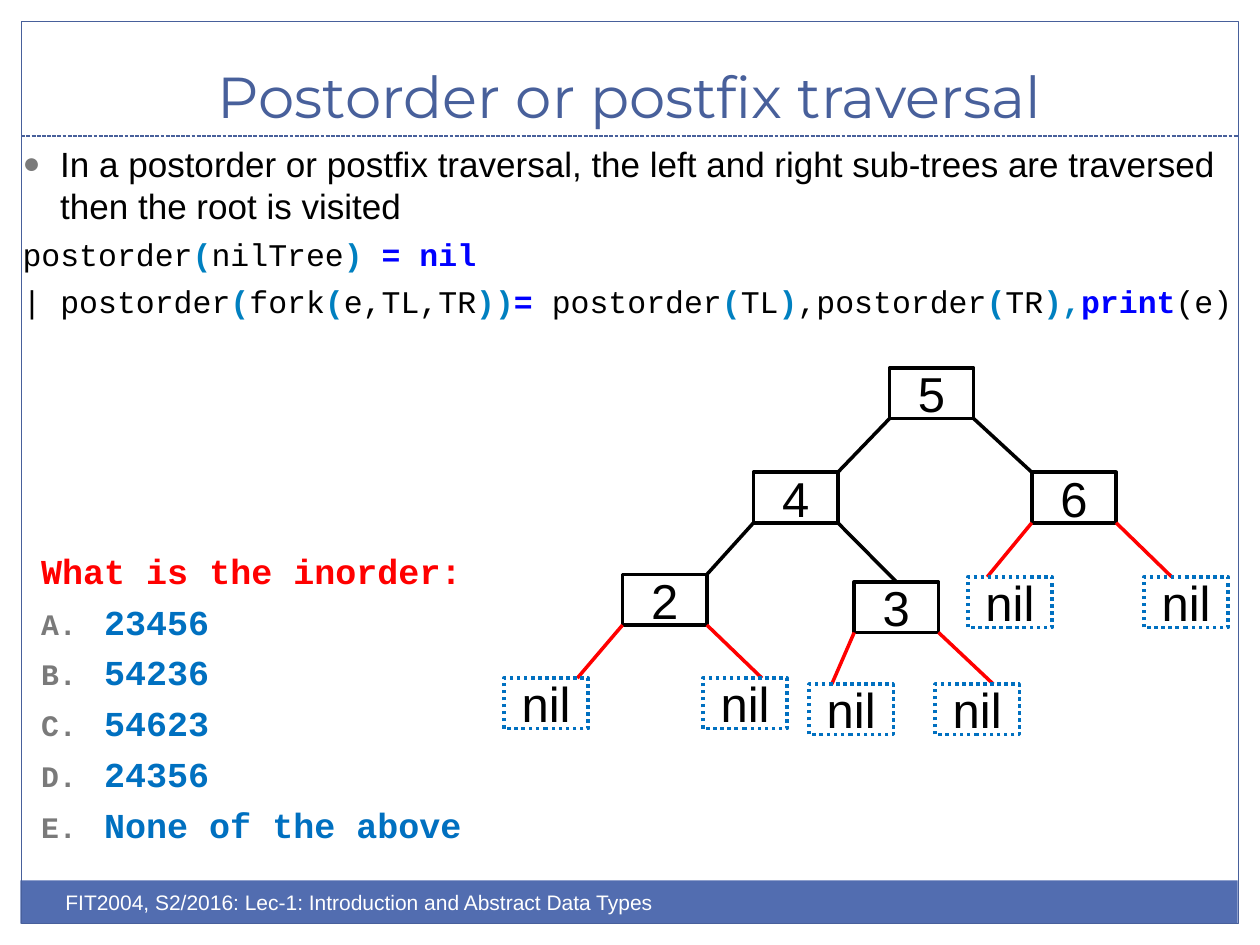
import pptx
import pptx.dml.color
import pptx.enum.dml
import pptx.enum.shapes
import pptx.enum.text
import pptx.oxml
import pptx.oxml.ns
import pptx.util
from pptx.util import Cm, Pt

THEME = {
    "colours": {"navy": "48609B", "band": "526DB0", "white": "FFFFFF", "black": "000000",
                "grey": "7A7A7A", "red": "FF0000", "sky": "0070C0", "teal": "0080C0",
                "blue": "0000FF"},
    "title": {"name": "Montserrat", "size": Pt(33), "bold": False},
    "body": {"name": "Arial", "size": Pt(20), "bold": False},
    "code": {"name": "Courier New", "size": Pt(18), "bold": False},
    "keyword": {"name": "Courier New", "size": Pt(18), "bold": True},
    "quiz": {"name": "Courier New", "size": Pt(20), "bold": True},
    "node": {"name": "Arial", "size": Pt(28), "bold": False},
    "footer": {"name": "Arial", "size": Pt(12), "bold": False},
    "gap": Pt(5),
}

TITLE = "Postorder or postfix traversal"
FOOTER = "FIT2004, S2/2016: Lec-1: Introduction and Abstract Data Types"
DEFINITION = ("In a postorder or postfix traversal, the left and right sub-trees "
              "are traversed then the root is visited")
CODE = [
    [("postorder", "black"), ("(", "teal"), ("nilTree", "black"), (")", "teal"),
     (" ", "black"), ("= nil", "blue")],
    [("| postorder", "black"), ("(", "teal"), ("fork", "black"), ("(", "teal"),
     ("e,TL,TR", "black"), ("))", "teal"), ("= ", "blue"), ("postorder", "black"),
     ("(", "teal"), ("TL", "black"), (")", "teal"), (",postorder", "black"),
     ("(", "teal"), ("TR", "black"), ("),", "teal"), ("print", "blue"), ("(e)", "black")],
]
QUESTION = "What is the inorder:"
ANSWERS = ["23456", "54236", "54623", "24356", "None of the above"]

# label, left and top in cm, where the edge from the parent lands (share of width), children
TREE = ("5", 17.93, 7.42, None, [
    ("4", 15.19, 9.52, 1, [
        ("2", 12.55, 11.58, 1, [("nil", 10.16, 13.67, 0.87, []),
                                ("nil", 14.17, 13.67, 0.7, [])]),
        ("3", 17.22, 11.73, 0.5, [("nil", 16.31, 13.79, 0.27, []),
                                  ("nil", 18.85, 13.79, 0.69, [])]),
    ]),
    ("6", 20.8, 9.52, 0, [("nil", 19.51, 11.63, 0.23, []),
                          ("nil", 23.06, 11.63, 0.33, [])]),
])
NODE_WIDTH, NODE_HEIGHT = 1.7, 1.02


def colour(name):
    return pptx.dml.color.RGBColor.from_string(THEME["colours"][name])


def assign(target, values):
    for name, value in values.items():
        setattr(target, name, value)


def add_span(para, text, style, tint):
    span = para.add_run()
    span.text = text
    assign(span.font, THEME[style])
    span.font.color.rgb = colour(tint)


def set_bullet(para, indent, kind, **attributes):
    """Set the hanging indent in cm and the bullet element of a paragraph."""
    properties = para._p.get_or_add_pPr()
    properties.set("marL", str(Cm(indent)))
    properties.set("indent", str(-Cm(indent)))
    parts = [(kind, attributes)]
    if kind != "buNone":
        parts.insert(0, ("buSzPct", {"val": "85000"}))
        tint = pptx.oxml.ns.qn("a:buClr")
        holder = properties.makeelement(tint, {})
        holder.append(holder.makeelement(pptx.oxml.ns.qn("a:srgbClr"),
                                         {"val": THEME["colours"]["grey"]}))
        properties.append(holder)
    for tag, values in parts:
        properties.append(properties.makeelement(pptx.oxml.ns.qn("a:" + tag), values))


def next_para(frame):
    """Return the empty first paragraph, or a new one set off by the theme gap."""
    first = frame.paragraphs[0]
    if not first.runs:
        first.space_before = Pt(0)
        return first
    para = frame.add_paragraph()
    para.space_before = THEME["gap"]
    return para


def place(box, left, top, width, height):
    assign(box, {"left": Cm(left), "top": Cm(top), "width": Cm(width), "height": Cm(height)})


def add_box(page, left, top, width, height, fill=None, line=None, weight=2):
    box = page.shapes.add_shape(pptx.enum.shapes.MSO_SHAPE.RECTANGLE,
                                Cm(left), Cm(top), Cm(width), Cm(height))
    box.shadow.inherit = False
    if fill:
        box.fill.solid()
        box.fill.fore_color.rgb = colour(fill)
    else:
        box.fill.background()
    if line:
        box.line.color.rgb = colour(line)
        box.line.width = Pt(weight)
    else:
        box.line.fill.background()
    return box


def add_line(page, start, end, tint, weight=2):
    line = page.shapes.add_connector(pptx.enum.shapes.MSO_CONNECTOR.STRAIGHT,
                                     *map(Cm, start + end))
    line.line.color.rgb = colour(tint)
    line.line.width = Pt(weight)
    properties = line._element.spPr
    properties.append(properties.makeelement(pptx.oxml.ns.qn("a:effectLst"), {}))
    return line


def add_tree(page, node):
    label, left, top, _, children = node
    empty = label == "nil"
    box = add_box(page, left, top, NODE_WIDTH, NODE_HEIGHT, line="sky" if empty else "black")
    if empty:
        box.line.dash_style = pptx.enum.dml.MSO_LINE.ROUND_DOT
    assign(box.text_frame, {"margin_left": 0, "margin_right": 0, "margin_top": 0,
                            "margin_bottom": 0,
                            "vertical_anchor": pptx.enum.text.MSO_ANCHOR.MIDDLE})
    para = box.text_frame.paragraphs[0]
    para.alignment = pptx.enum.text.PP_ALIGN.CENTER
    add_span(para, label, "node", "black")
    for side, child in enumerate(children):
        start = (left + side * NODE_WIDTH, top + NODE_HEIGHT)
        end = (child[1] + child[3] * NODE_WIDTH, child[2])
        add_line(page, start, end, "red" if child[0] == "nil" else "black")
        add_tree(page, child)


def add_frame(page):
    add_box(page, 0.41, 17.75, 24.54, 0.87, fill="band")
    add_box(page, 0.43, 0.43, 24.54, 18.19, line="navy", weight=0.75)
    rule = add_line(page, (0.43, 2.74), (24.97, 2.74), "navy", 0.75)
    rule.line.dash_style = pptx.enum.dml.MSO_LINE.SQUARE_DOT
    footer = page.shapes.add_textbox(Cm(1.07), Cm(17.81), Cm(12.7), Cm(1.02))
    footer.text_frame.word_wrap = True
    add_span(footer.text_frame.paragraphs[0], FOOTER, "footer", "white")


def fill_placeholders(page):
    title, body = page.shapes.title, page.placeholders[1]
    place(title, 0.84, 0.64, 23.7, 2.1)
    place(body, 0.2, 2.74, 25.4, 3.61)
    for box, anchor in ((title, "BOTTOM"), (body, "TOP")):
        assign(box.text_frame, {"word_wrap": True,
                                "auto_size": pptx.enum.text.MSO_AUTO_SIZE.NONE,
                                "vertical_anchor": pptx.enum.text.MSO_ANCHOR[anchor]})
    heading = title.text_frame.paragraphs[0]
    heading.alignment = pptx.enum.text.PP_ALIGN.CENTER
    add_span(heading, TITLE, "title", "navy")
    para = next_para(body.text_frame)
    set_bullet(para, 0.76, "buChar", char="●")
    add_span(para, DEFINITION, "body", "black")
    for line in CODE:
        para = next_para(body.text_frame)
        set_bullet(para, 0, "buNone")
        for text, tint in line:
            add_span(para, text, "code" if tint == "black" else "keyword", tint)


def add_quiz(page):
    frame = page.shapes.add_textbox(Cm(0.58), Cm(10.95), Cm(9.07), Cm(6.25)).text_frame
    frame.word_wrap = False
    add_span(next_para(frame), QUESTION, "quiz", "red")
    for answer in ANSWERS:
        para = next_para(frame)
        set_bullet(para, 1.27, "buAutoNum", type="alphaUcPeriod")
        add_span(para, answer, "quiz", "sky")


def main():
    deck = pptx.Presentation()
    assign(deck, {"slide_width": Cm(25.4), "slide_height": Cm(19.05)})
    page = deck.slides.add_slide(deck.slide_layouts[1])
    add_frame(page)
    fill_placeholders(page)
    add_quiz(page)
    add_tree(page, TREE)
    deck.save("out.pptx")


if __name__ == "__main__":
    main()
